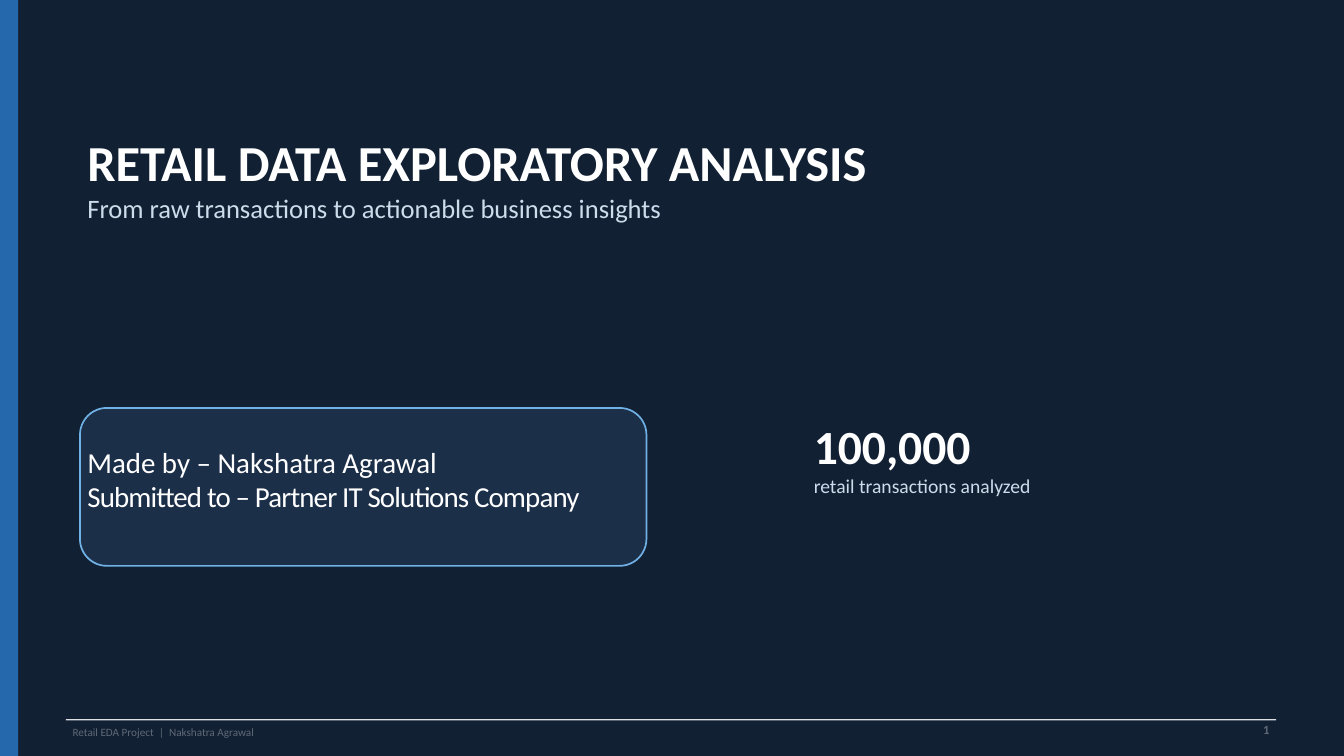
from pptx import Presentation
from pptx.dml.color import RGBColor
from pptx.enum.shapes import MSO_SHAPE as Preset
from pptx.enum.text import PP_ALIGN as Align
from pptx.util import Inches, Pt

WIDTH, HEIGHT = Inches(20), Inches(11.25)
FONT = "Calibri"
NAVY, CARD, BLUE, SKY = "122034", "1C2F49", "2668AC", "70B1E6"
WHITE, PALE, RULE, GREY = "FFFFFF", "CDDCEB", "DCE0E5", "5F6976"
TEXT_LEFT = 6.5


def paint(color_format, hex_color):
    """Set a colour from a hex string."""
    color_format.rgb = RGBColor.from_string(hex_color)


def area(left, top, width, height):
    """Turn percentages of the slide into lengths."""
    shares = zip((left, top, width, height), (WIDTH, HEIGHT, WIDTH, HEIGHT))
    return [round(share * size / 100) for share, size in shares]


def add_panel(slide, box, fill, line=None, radius=None):
    """Add a filled rectangle, rounded when a radius is given."""
    preset = Preset.ROUNDED_RECTANGLE if radius else Preset.RECTANGLE
    shape = slide.shapes.add_shape(preset, *area(*box))
    shape.shadow.inherit = False
    shape.fill.solid()
    paint(shape.fill.fore_color, fill)
    if radius:
        shape.adjustments[0] = radius
    if line:
        paint(shape.line.color, line)
        shape.line.width = Pt(1.8)
    else:
        shape.line.fill.background()


def add_text_box(slide, box):
    """Add a wrapping text box without margins and return its frame."""
    frame = slide.shapes.add_textbox(*area(*box)).text_frame
    frame.word_wrap = True
    frame.margin_left = frame.margin_right = 0
    frame.margin_top = frame.margin_bottom = 0
    return frame


def write(frame, text, size, color, bold=False, align=Align.LEFT, tracking=0):
    """Write one paragraph with line spacing of 1.2 times its size."""
    paragraph = frame.paragraphs[0]
    if paragraph.runs:
        paragraph = frame.add_paragraph()
    paragraph.alignment = align
    paragraph.line_spacing = Pt(size * 1.2)
    run = paragraph.add_run()
    run.text = text
    run.font.name, run.font.size, run.font.bold = FONT, Pt(size), bold
    paint(run.font.color, color)
    if tracking:
        run.font._element.set("spc", str(round(tracking * 100)))


def add_headline(slide, box, headline, size, caption, caption_size):
    """Add a bold white headline with a pale caption under it."""
    frame = add_text_box(slide, box)
    write(frame, headline, size, WHITE, bold=True)
    write(frame, caption, caption_size, PALE)


def add_credits(slide):
    """Add the rounded card that names author and recipient."""
    add_panel(slide, (5.95, 53.96, 42.15, 20.89), CARD, line=SKY, radius=0.17)
    frame = add_text_box(slide, (TEXT_LEFT, 58.76, 39.7, 9.51))
    write(frame, "Made by – Nakshatra Agrawal", 31, WHITE)
    write(frame, "Submitted to – Partner IT Solutions Company", 31, WHITE,
          tracking=-0.9)


def add_footer(slide):
    """Add the footer rule, the project line and the page number."""
    add_panel(slide, (4.9, 95.11, 90.05, 0.18), RULE)
    project = add_text_box(slide, (5.4, 95.91, 85.3, 1.96))
    write(project, "Retail EDA Project  |  Nakshatra Agrawal", 12, GREY)
    number = add_text_box(slide, (90.55, 95.47, 3.9, 2.76))
    write(number, "1", 13.5, GREY, bold=True, align=Align.RIGHT)


def main():
    """Build the title slide and save it."""
    presentation = Presentation()
    presentation.slide_width, presentation.slide_height = WIDTH, HEIGHT
    slide = presentation.slides.add_slide(presentation.slide_layouts[6])
    slide.background.fill.solid()
    paint(slide.background.fill.fore_color, NAVY)
    add_panel(slide, (0, 0, 1.35, 100), BLUE)
    add_headline(slide, (TEXT_LEFT, 17.33, 87.55, 16.27),
                 "RETAIL DATA EXPLORATORY ANALYSIS", 54,
                 "From raw transactions to actionable business insights", 28.5)
    add_credits(slide)
    add_headline(slide, (60.55, 55.11, 30.5, 17.6),
                 "100,000", 51, "retail transactions analyzed", 21)
    add_footer(slide)
    presentation.save("out.pptx")


if __name__ == "__main__":
    main()
